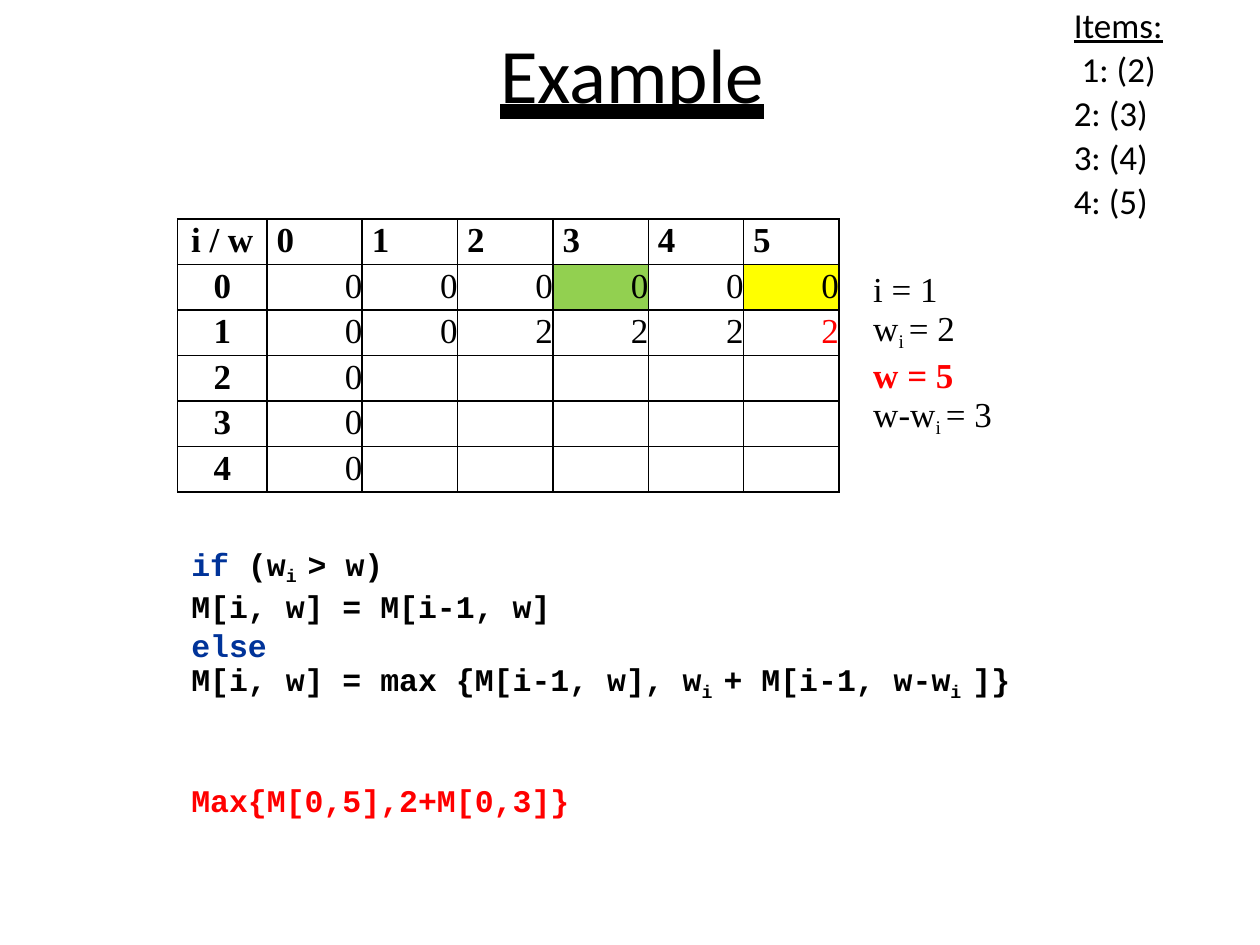
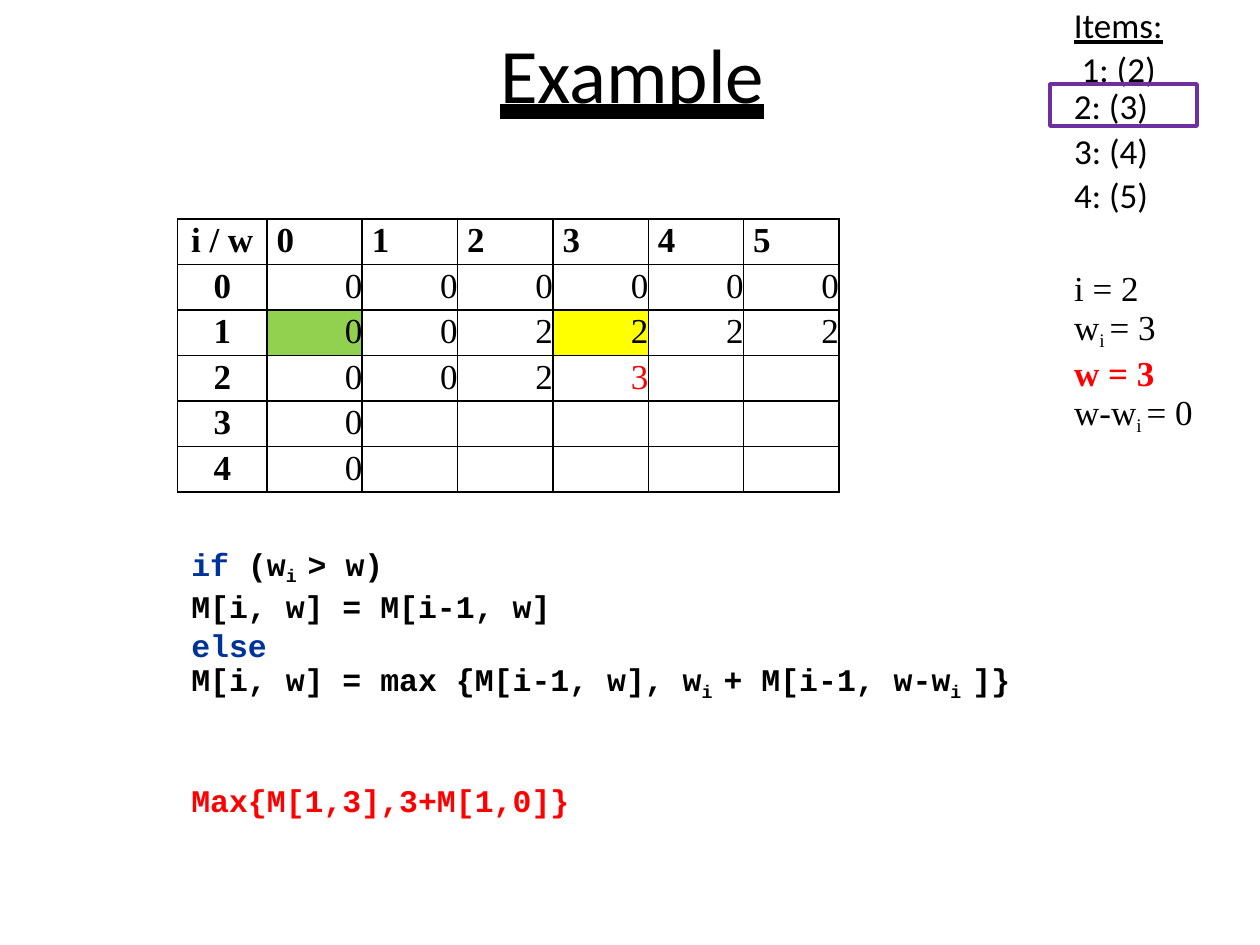
"""Build two knapsack table-filling example slides."""
from lxml.etree import SubElement as Sub
from pptx import Presentation
from pptx.dml.color import RGBColor as Rgb
from pptx.enum.shapes import MSO_SHAPE as Shape
from pptx.enum.text import MSO_ANCHOR as Anchor, MSO_AUTO_SIZE as Fit
from pptx.enum.text import MSO_UNDERLINE as Line, PP_ALIGN as Align
from pptx.oxml.ns import qn
from pptx.util import Pt

HUES = {"ink": "000000", "red": "FF0000", "blue": "003399",
        "green": "92D050", "gold": "FFFF00", "plum": "6F2F9F"}

SANS = {"name": "Calibri", "size": Pt(20)}
SERIF = {"name": "Times New Roman", "size": Pt(20)}
MONO = {"name": "Courier New", "size": Pt(18), "bold": True}
STYLES = {
    "title": {**SANS, "size": Pt(44), "underline": Line.HEAVY_LINE},
    "sans": SANS,
    "head": {**SANS, "underline": True},
    "serif": SERIF,
    "small": {**SERIF, "size": Pt(19)},
    "bold": {**SERIF, "bold": True},
    "mono": MONO,
}

HEADS = ["i / w", "0", "1", "2", "3", "4", "5"]
ITEMS = [("Items: ", "head"), (" 1: (2)", "sans")]
LISTED = ["2: (3)", "3: (4)", "4: (5)"]
CODE = [
    [("if ", "mono", "blue"), ("(w", "mono"), ("i ", "mono", "ink", True),
     ("> w)", "mono")],
    [("M[i, w] = M[i-1, w]", "mono")],
    [("else", "mono", "blue")],
    [("M[i, w] = max {M[i-1, w], w", "mono"), ("i ", "mono", "ink", True),
     ("+ M[i-1, w-w", "mono"), ("i ", "mono", "ink", True), ("]}", "mono")],
]
STEPS = [
    {"rows": ["000000", "002222", "0", "0", "0"],
     "fills": {(1, 4): "green", (1, 6): "gold"}, "new": (2, 6),
     "vals": ("1", "2", "5", "3"), "max": "Max{M[0,5],2+M[0,3]}"},
    {"rows": ["000000", "002222", "0023", "0", "0"],
     "fills": {(2, 1): "green", (2, 4): "gold"}, "new": (3, 4),
     "vals": ("2", "3", "3", "0"), "max": "Max{M[1,3],3+M[1,0]}"},
]


def add_run(para, text, style, hue="ink", sub=False):
    run = para.add_run()
    run.text = text
    for key, val in STYLES[style].items():
        setattr(run.font, key, val)
    run.font.color.rgb = Rgb.from_string(HUES[hue])
    props = run._r.get_or_add_rPr()
    if sub:
        props.set("baseline", "-21000")
    if style == "title":
        props.set("spc", "-10")


def write(frame, paras, pitch=None, inset=0, gaps=(), align=Align.LEFT, top=0.72):
    frame.word_wrap = True
    frame.auto_size = Fit.NONE
    frame.vertical_anchor = Anchor.TOP
    frame.margin_left = frame.margin_right = frame.margin_bottom = 0
    frame.margin_top = Pt(top)
    for num, runs in enumerate(paras):
        para = frame.add_paragraph() if num else frame.paragraphs[0]
        para.alignment = align
        para._p.get_or_add_pPr().set("marL", str(Pt(inset)))
        if pitch:
            para.line_spacing = Pt(pitch)
        if num < len(gaps):
            para.space_before = Pt(gaps[num])
        for run in runs:
            add_run(para, *run)


def add_text(slide, spot, *args, **opts):
    box = slide.shapes.add_textbox(*map(Pt, spot))
    write(box.text_frame, *args, **opts)


def add_title(slide):
    title = slide.shapes.title
    for key, val in zip(("left", "top", "width", "height"), (282.5, 14.5, 155.5, 55)):
        setattr(title, key, Pt(val))
    write(title.text_frame, [[("Example", "title")]], inset=3.5)


def add_grid(slide, step):
    rows = [HEADS] + [[str(num), *row] for num, row in enumerate(step["rows"])]
    spot = map(Pt, (101.5, 125.25, 378, 156))
    grid = slide.shapes.add_table(len(rows), len(HEADS), *spot).table
    for num, col in enumerate(grid.columns):
        col.width = Pt(54.5 if num else 51)
    for num, row in enumerate(grid.rows):
        row.height = Pt(26)
        for pos in range(len(HEADS)):
            cell = grid.cell(num, pos)
            cell.margin_left = cell.margin_right = 0
            cell.margin_top = cell.margin_bottom = 0
            edge(cell)
            hue = step["fills"].get((num, pos))
            if hue:
                cell.fill.solid()
                cell.fill.fore_color.rgb = Rgb.from_string(HUES[hue])
            else:
                cell.fill.background()
            if pos < len(rows[num]):
                fill_in(cell, rows[num][pos], num, pos, step["new"])


def edge(cell):
    props = cell._tc.get_or_add_tcPr()
    for side in ("lnL", "lnR", "lnT", "lnB"):
        line = Sub(props, qn("a:" + side), w=str(Pt(1)))
        Sub(Sub(line, qn("a:solidFill")), qn("a:srgbClr"), val=HUES["ink"])


def fill_in(cell, text, num, pos, new):
    para = cell.text_frame.paragraphs[0]
    para.line_spacing = Pt(23.4)
    if not pos:
        para.alignment = Align.CENTER
    elif num:
        para.alignment = Align.RIGHT
    else:
        para._p.get_or_add_pPr().set("marL", str(Pt(5.5)))
    style = "serif" if num and pos else "bold"
    add_run(para, text, style, "red" if (num, pos) == new else "ink")


def state(vals):
    i, size, w, rest = vals
    low = ("i ", "small", "ink", True)
    return [[("i = " + i, "serif")],
            [("w", "serif"), low, ("= " + size, "serif")],
            [("w = " + w, "bold", "red")],
            [("w-w", "serif"), low, ("= " + rest, "serif")]]


def add_frame(slide, text):
    box = slide.shapes.add_shape(Shape.RECTANGLE, *map(Pt, (600, 48, 84, 24)))
    box.shadow.inherit = False
    box.fill.background()
    box.line.color.rgb = Rgb.from_string(HUES["plum"])
    box.line.width = Pt(2)
    write(box.text_frame, [[(text, "sans")]], 23.6, 13.7)


def main():
    deck = Presentation()
    deck.slide_width, deck.slide_height = Pt(720), Pt(540)
    slides = []
    for step in STEPS:
        slide = deck.slides.add_slide(deck.slide_layouts[5])
        slides.append(slide)
        add_title(slide)
        add_grid(slide, step)
        lines = CODE + [[(step["max"], "mono", "red")]]
        add_text(slide, (105, 312.5, 574.5, 153.5), lines, 22, 4.3,
                 gaps=(0, 0, 0, 0, 44.5))
    first, last = slides
    left = [[(text, "sans")] for text in LISTED]
    add_text(first, (496, 152, 75, 98), state(STEPS[0]["vals"]), 24.4, 3)
    add_text(first, (612.7, 0, 52.6, 126.7), [ITEMS] + left, 25.2, 0.9)
    add_text(last, (495.3, 72.7, 194.5, 177), left[1:] + state(STEPS[1]["vals"]),
             24.4, 118.5, gaps=(0, 1.2, 28.5))
    add_text(last, (612.7, 0, 52.6, 51), [ITEMS], 25.2, 0.9)
    add_frame(last, LISTED[0])
    deck.save("out.pptx")


if __name__ == "__main__":
    main()
